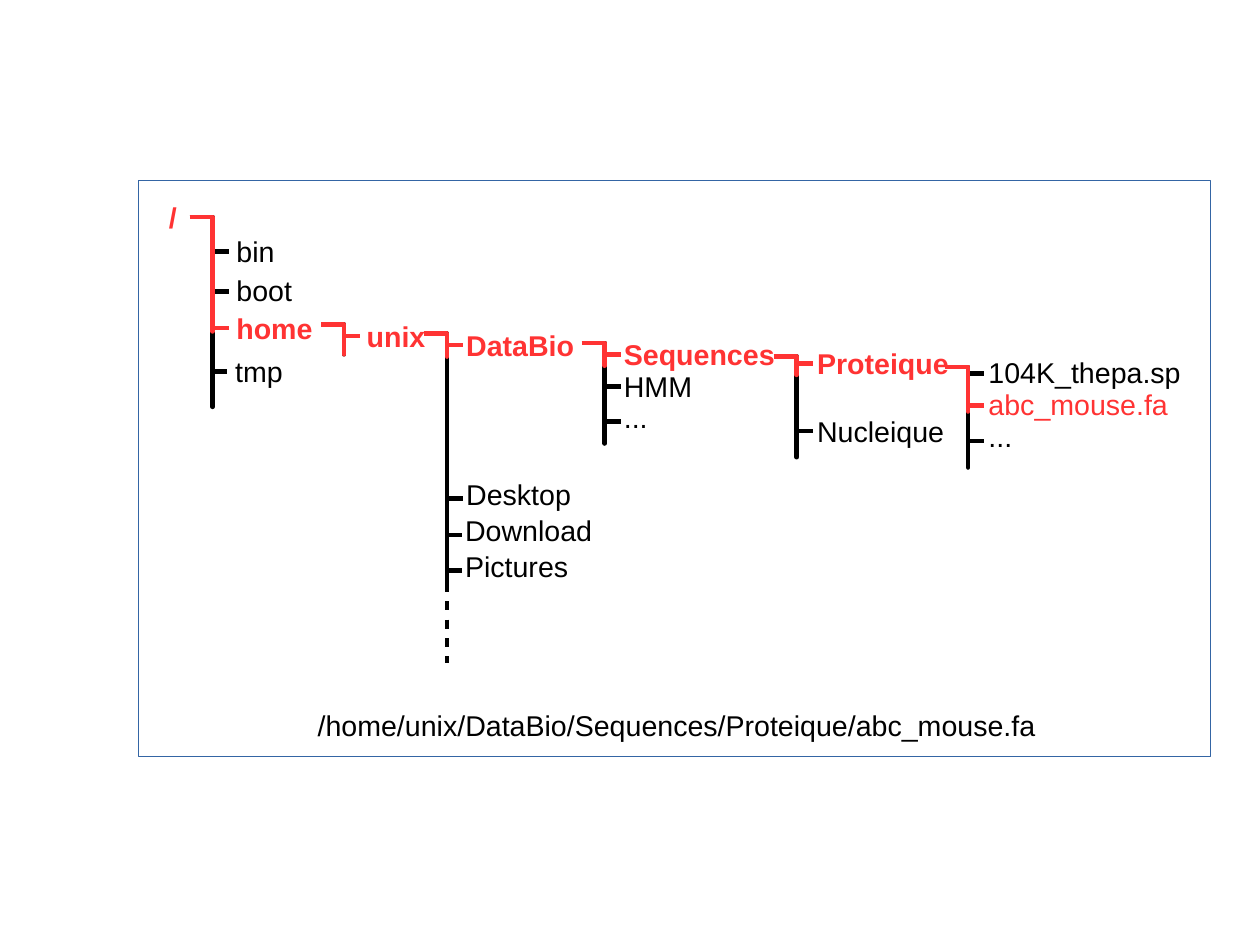
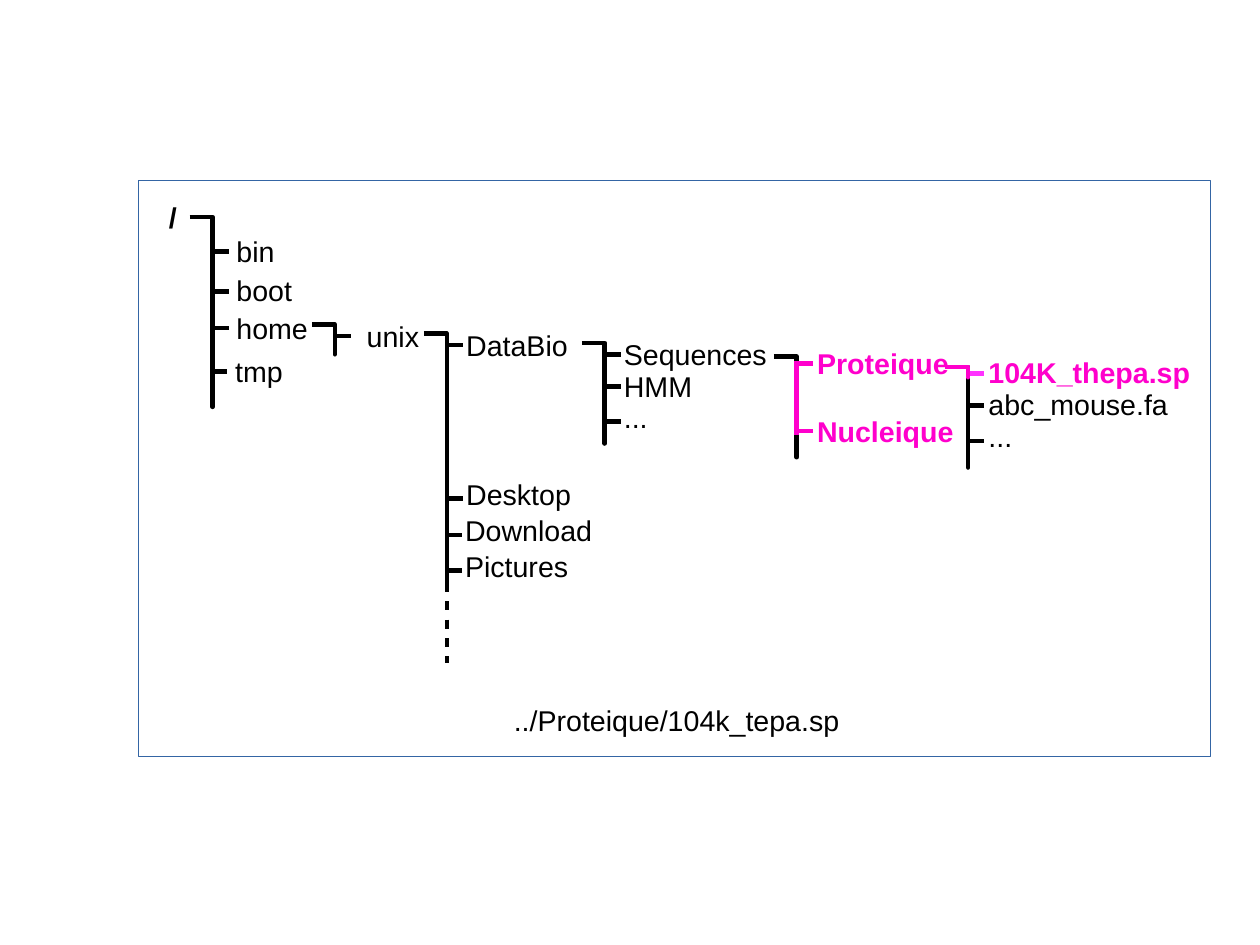
from lxml import etree
from pptx import Presentation
from pptx.dml.color import RGBColor
from pptx.enum.shapes import MSO_CONNECTOR, MSO_SHAPE
from pptx.enum.text import PP_ALIGN
from pptx.oxml import parse_xml
from pptx.oxml.ns import nsdecls, qn
from pptx.util import Cm, Inches, Pt

BLACK = RGBColor(0x00, 0x00, 0x00)
RED = RGBColor(0xFF, 0x33, 0x33)
MAGENTA = RGBColor(0xFF, 0x00, 0xCC)
PINK = RGBColor(0xFF, 0x33, 0xFF)
BLUE = RGBColor(0x34, 0x65, 0xA4)

# Shared measures, in inches unless a unit is given
SLIDE_SIZE = Cm(28), Cm(21)
FRAME = (1.21, 1.58, 9.38, 5.04)
CAPTION_CENTRE = 5.92
HOOK, TICK, TURN = 0.2, 0.14, 0.04
LABEL_H = 0.38
RISE, MID_RISE, HIGH_RISE = 0.2, 0.21, 0.24
LINE_WIDTH = Pt(2.89)

# Folder: trunk x, top, end, label left, label width, entries (name, tick y, rise)
TREE = {
    "/": (1.86, 1.9, 3.56, 1.97, 0.9, [
        ("bin", 2.2, RISE), ("boot", 2.55, MID_RISE),
        ("home", 2.87, RISE), ("tmp", 3.25, RISE)]),
    "home": (3.01, 2.84, 3.1, 3.11, 0.75, [("unix", 2.94, RISE)]),
    "unix": (3.91, 2.92, 5.1, 3.98, 1.35, [
        ("DataBio", 3.02, RISE), ("Desktop", 4.36, HIGH_RISE),
        ("Download", 4.68, HIGH_RISE), ("Pictures", 4.99, HIGH_RISE)]),
    "DataBio": (5.29, 3.0, 3.88, 5.36, 1.55, [
        ("Sequences", 3.1, RISE), ("HMM", 3.38, RISE),
        ("...", 3.69, HIGH_RISE)]),
    "Sequences": (6.97, 3.12, 4.0, 7.05, 1.45, [
        ("Proteique", 3.18, RISE), ("Nucleique", 3.77, RISE)]),
    "Proteique": (8.47, 3.21, 4.09, 8.55, 2.0, [
        ("104K_thepa.sp", 3.27, MID_RISE), ("abc_mouse.fa", 3.55, MID_RISE),
        ("...", 3.86, HIGH_RISE)]),
}
NUDGES = dict.fromkeys(["tmp", "Download", "Pictures"], -0.01)
DASHED_TO = 5.8

# marks: name -> (text colour, tick colour, bold)
# hooks: folder -> end of the coloured hook; runs: folder -> coloured trunk part
PLAIN = (BLACK, BLACK, False)
BOLD_RED = (RED, RED, True)
BOLD_MAGENTA = (MAGENTA, MAGENTA, True)
PAGES = [
    {
        "colour": RED,
        "marks": {
            **dict.fromkeys(["/", "home", "unix", "DataBio", "Sequences",
                             "Proteique"], BOLD_RED),
            "abc_mouse.fa": (RED, RED, False),
        },
        "hooks": {"/": 2.9, "home": 3.1, "unix": 3.12, "DataBio": 3.2,
                  "Sequences": 3.28, "Proteique": 3.6},
        "runs": {},
        "shifts": {},
        "caption": ("/home/unix/DataBio/Sequences/Proteique/abc_mouse.fa", 6.14, 6.6),
    },
    {
        "colour": MAGENTA,
        "marks": {
            "/": (BLACK, BLACK, True),
            "Proteique": BOLD_MAGENTA,
            "Nucleique": BOLD_MAGENTA,
            "104K_thepa.sp": (MAGENTA, PINK, True),
        },
        "hooks": {"Proteique": 3.3},
        "runs": {"Sequences": (3.16, 3.81)},
        "shifts": {"home": -0.08},
        "caption": ("../Proteique/104k_tepa.sp", 6.1, 3.2),
    },
]


def add_label(page, text, left, top, width, colour=BLACK, bold=False,
              align=PP_ALIGN.LEFT):
    box = page.shapes.add_textbox(Inches(left), Inches(top), Inches(width),
                                  Inches(LABEL_H))
    box.text_frame.word_wrap = True
    para = box.text_frame.paragraphs[0]
    para.text = text
    para.alignment = align
    font = para.runs[0].font
    font.name, font.size, font.bold = "Arial", Pt(18), bold
    font.color.rgb = colour


def add_line(page, x1, y1, x2, y2, colour=BLACK, dashed=False):
    line = page.shapes.add_connector(MSO_CONNECTOR.STRAIGHT, Inches(x1), Inches(y1),
                                     Inches(x2), Inches(y2))
    line.line.color.rgb = colour
    line.line.width = LINE_WIDTH
    if dashed:
        line.line._get_or_add_ln().append(parse_xml(
            f'<a:custDash {nsdecls("a")}><a:ds d="200000" sp="200000"/></a:custDash>'))
    etree.SubElement(line._element.spPr, qn("a:effectLst"))


def add_hook(page, x, top, end, colour=BLACK):
    """Draw a corner and trunk; the short turn back rounds the lower end."""
    builder = page.shapes.build_freeform(Inches(x - HOOK), Inches(top))
    corners = [(x, top), (x, end), (x, end - TURN)]
    builder.add_line_segments([(Inches(a), Inches(b)) for a, b in corners], close=False)
    hook = builder.convert_to_shape()
    hook.fill.background()
    hook.line.color.rgb = colour
    hook.line.width = LINE_WIDTH
    etree.SubElement(hook.line._get_or_add_ln(), qn("a:round"))
    hook.shadow.inherit = False


def add_branch(page, folder, look):
    x, top, end, label_left, label_width, entries = TREE[folder]
    x += look["shifts"].get(folder, 0)
    add_hook(page, x, top, end)
    for name, tick_y, rise in entries:
        text_colour, tick_colour, bold = look["marks"].get(name, PLAIN)
        nudge = NUDGES.get(name, 0)
        add_line(page, x + nudge, tick_y, x + nudge + TICK, tick_y, tick_colour)
        add_label(page, name, label_left + nudge, tick_y - rise, label_width,
                  text_colour, bold)
    if folder in look["hooks"]:
        add_hook(page, x, top, look["hooks"][folder], look["colour"])
    if folder in look["runs"]:
        start, stop = look["runs"][folder]
        add_line(page, x, start, x, stop, look["colour"])


def build_page(deck, look):
    page = deck.slides.add_slide(deck.slide_layouts[6])
    # Frame
    frame = page.shapes.add_shape(MSO_SHAPE.RECTANGLE, *map(Inches, FRAME))
    frame.fill.background()
    frame.line.color.rgb = BLUE
    frame.line.width = Pt(0)
    frame.shadow.inherit = False
    # Folder tree
    root_colour, _, root_bold = look["marks"]["/"]
    add_label(page, "/", 1.38, 1.7, 0.3, root_colour, root_bold)
    for folder in TREE:
        add_branch(page, folder, look)
    x, _, end = TREE["unix"][:3]
    add_line(page, x, end, x, DASHED_TO, dashed=True)
    # Resulting file path
    text, top, width = look["caption"]
    add_label(page, text, CAPTION_CENTRE - width / 2, top, width,
              align=PP_ALIGN.CENTER)


def main():
    deck = Presentation()
    deck.slide_width, deck.slide_height = SLIDE_SIZE
    for look in PAGES:
        build_page(deck, look)
    deck.save("out.pptx")


if __name__ == "__main__":
    main()
